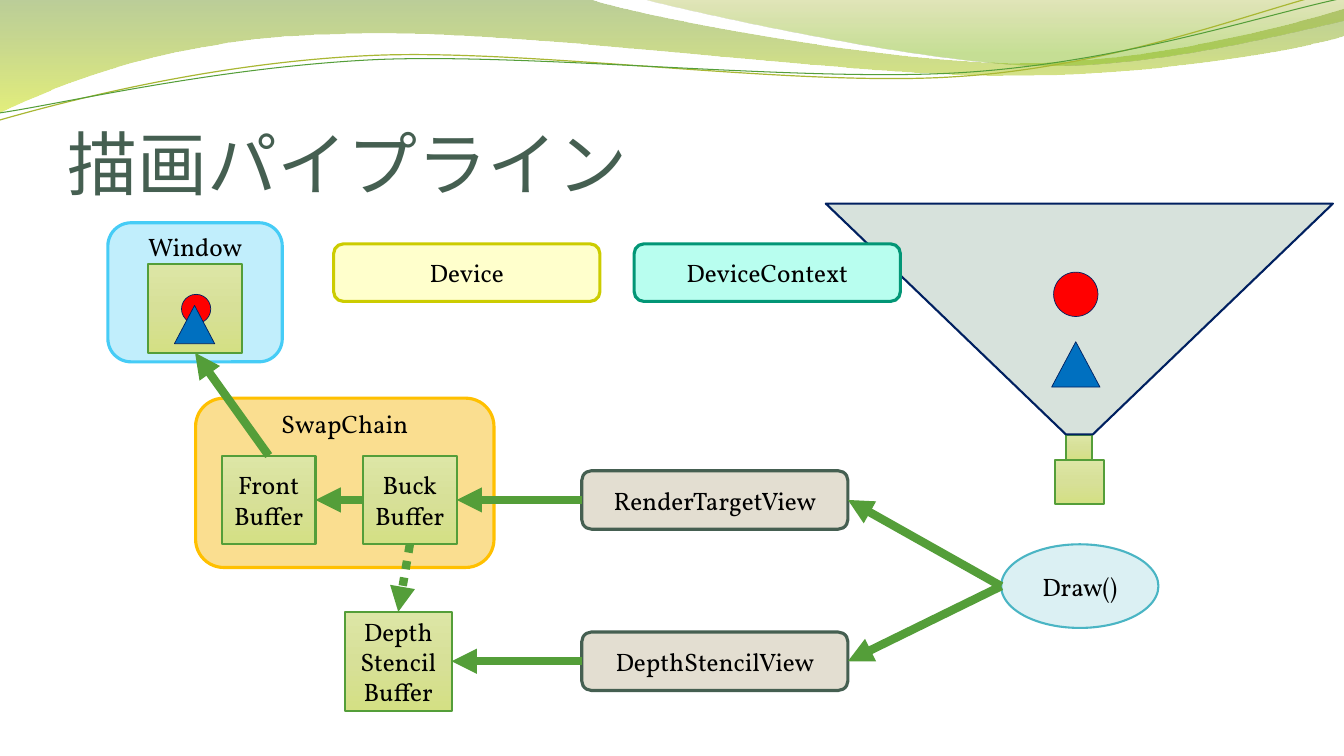
from lxml import etree
from pptx import Presentation
from pptx.dml.color import RGBColor
from pptx.enum.dml import MSO_LINE
from pptx.enum.shapes import MSO_CONNECTOR, MSO_SHAPE
from pptx.enum.text import MSO_ANCHOR, PP_ALIGN
from pptx.oxml.ns import qn
from pptx.util import Pt

PX = 9144  # EMU per px, 100 px to the inch
RECT, ROUND = MSO_SHAPE.RECTANGLE, MSO_SHAPE.ROUNDED_RECTANGLE
OVAL, TRIANGLE = MSO_SHAPE.OVAL, MSO_SHAPE.ISOSCELES_TRIANGLE
TRAPEZOID = MSO_SHAPE.TRAPEZOID
STRAIGHT, DOTTED = MSO_CONNECTOR.STRAIGHT, MSO_LINE.ROUND_DOT
TOP, MIDDLE, BOTTOM = MSO_ANCHOR.TOP, MSO_ANCHOR.MIDDLE, MSO_ANCHOR.BOTTOM
LEFT_ALIGN, CENTER = PP_ALIGN.LEFT, PP_ALIGN.CENTER
TOP_SIDE, LEFT_SIDE, BOTTOM_SIDE, RIGHT_SIDE = range(4)

BLACK = RGBColor(0x00, 0x00, 0x00)
GREEN = RGBColor(0x54, 0x9E, 0x39)
OLIVE = RGBColor(0xA9, 0xB7, 0x33)
DARK_GREEN = RGBColor(0x45, 0x5F, 0x51)
NAVY = RGBColor(0x00, 0x20, 0x60)
RED = RGBColor(0xFF, 0x00, 0x00)
BLUE = RGBColor(0x00, 0x70, 0xC0)
BEIGE = RGBColor(0xE3, 0xDE, 0xD1)
FRUSTUM_GRAY = RGBColor(0xD7, 0xE2, 0xDC)
WINDOW_FILL, WINDOW_LINE = RGBColor(0xC1, 0xEE, 0xFC), RGBColor(0x46, 0xCC, 0xF6)
CHAIN_FILL, CHAIN_LINE = RGBColor(0xFA, 0xDE, 0x90), RGBColor(0xFF, 0xC0, 0x00)
DRAW_FILL, DRAW_LINE = RGBColor(0xDB, 0xF0, 0xF3), RGBColor(0x4A, 0xB5, 0xC4)
DEVICE_FILL, DEVICE_LINE = RGBColor(0xFF, 0xFF, 0xCC), RGBColor(0xCC, 0xCC, 0x00)
CONTEXT_FILL, CONTEXT_LINE = RGBColor(0xB8, 0xFE, 0xEF), RGBColor(0x02, 0x96, 0x76)

# Gradient stops: position %, colour, opacity %
BUFFER_GRADIENT = [(0, RGBColor(0xDD, 0xE6, 0xA6), 100),
                   (50, RGBColor(0xD7, 0xE0, 0x98), 100),
                   (100, RGBColor(0xD4, 0xE0, 0x84), 100)]
LARGE_WAVE_GRADIENT = [(0, RGBColor(0x69, 0x92, 0x1C), 45),
                       (100, RGBColor(0xCC, 0xE1, 0x0F), 55)]
SMALL_WAVE_GRADIENT = [(0, RGBColor(0x9B, 0xAA, 0x1A), 30),
                       (80, RGBColor(0x81, 0xBA, 0x16), 45)]

# Wave steps: two numbers are a straight line, six a Bezier curve
LARGE_WAVE = [(0, 0), (587, 0), (634, 17, 884, 63, 1011, 63),
              (1137, 63, 1277, 26, 1333, 9), (1333, 36),
              (1311, 44, 1159, 76, 994, 75), (829, 75, 509, 28, 343, 34),
              (172, 36, 61, 83, 0, 112)]
SMALL_WAVE = [(638, 0), (679, 11, 909, 62, 1025, 65),
              (1140, 69, 1282, 32, 1333, 21), (1333, 0)]
OLIVE_WAVE = [(0, 119), (63, 101, 210, 62, 369, 55),
              (527, 48, 789, 87, 949, 76), (1110, 66, 1251, 8, 1330, -10)]
GREEN_WAVE = [(0, 112), (62, 103, 218, 66, 377, 59),
              (537, 53, 796, 82, 955, 72), (1114, 62, 1255, 14, 1333, -2)]


def set_all(target, values):
    for name, value in values.items():
        setattr(target, name, value)


def paint(shape, fill, line, weight):
    """Fill with a colour, gradient stops or nothing; then set the outline."""
    shape.shadow.inherit = False
    if fill is None:
        shape.fill.background()
    elif isinstance(fill, list):
        shape.fill.gradient()
        shape.fill.gradient_angle = 270
        stops = next(shape.element.iter(qn("a:gsLst")))
        stops.clear()
        for position, color, opacity in fill:
            stop = etree.SubElement(stops, qn("a:gs"), pos=str(position * 1000))
            node = etree.SubElement(stop, qn("a:srgbClr"), val=str(color))
            if opacity < 100:
                etree.SubElement(node, qn("a:alpha"), val=str(opacity * 1000))
    else:
        shape.fill.solid()
        shape.fill.fore_color.rgb = fill
    if line is None:
        shape.line.fill.background()
    else:
        shape.line.color.rgb = line
        shape.line.width = Pt(weight)


def write(shape, text, anchor=MIDDLE, align=CENTER, size=18, color=BLACK,
          font="Vollkorn", spacing=None, margins=(10, 3, 10, 3)):
    frame = shape.text_frame
    left, top, right, bottom = (margin * PX for margin in margins)
    set_all(frame, {"word_wrap": True, "vertical_anchor": anchor,
                    "margin_left": left, "margin_top": top,
                    "margin_right": right, "margin_bottom": bottom})
    paragraph = frame.paragraphs[0]
    paragraph.text = text.replace("\n", "\v")
    set_all(paragraph, {"alignment": align, "line_spacing": spacing})
    for run in paragraph.runs:
        set_all(run.font, {"size": Pt(size), "name": font})
        run.font.color.rgb = color
        etree.SubElement(run._r.get_or_add_rPr(), qn("a:ea"), typeface=font)


def add_block(slide, kind, box, fill, line, weight, text=None, anchor=MIDDLE):
    shape = slide.shapes.add_shape(kind, *(length * PX for length in box))
    paint(shape, fill, line, weight)
    if text:
        write(shape, text, anchor, margins=(10, 2, 10, 2))
    return shape


def add_buffer(slide, box, text=None):
    return add_block(slide, RECT, box, BUFFER_GRADIENT, GREEN, 1.5, text)


def add_arrow(slide, start, start_side, end, end_side, dash=None):
    """Join two shapes; a start given as a point stays free."""
    x, y = start if start_side is None else (0, 0)
    arrow = slide.shapes.add_connector(STRAIGHT, x, y, 0, 0)
    if start_side is not None:
        arrow.begin_connect(start, start_side)
    arrow.end_connect(end, end_side)
    arrow.line.color.rgb = GREEN
    set_all(arrow.line, {"width": Pt(6), "dash_style": dash})
    etree.SubElement(arrow.line._get_or_add_ln(), qn("a:tailEnd"), type="triangle")
    etree.SubElement(arrow.element.spPr, qn("a:effectLst"))


def add_wave(slide, box, steps, fill, line=None, weight=0):
    """Build the outline through the step ends, then bend the curved steps."""
    ends = [step[-2:] for step in steps]
    builder = slide.shapes.build_freeform(*ends[0], scale=PX)
    builder.add_line_segments(ends[1:], close=fill is not None)
    wave = builder.convert_to_shape(box[0] * PX, box[1] * PX)
    min_x, min_y = (min(values) for values in zip(*ends))
    segments = list(wave.element.iter(qn("a:lnTo")))
    for segment, step in zip(segments, steps[1:]):
        if len(step) == 6:
            curve = etree.Element(qn("a:cubicBezTo"))
            for x, y in zip(step[::2], step[1::2]):
                etree.SubElement(curve, qn("a:pt"), x=str(x - min_x), y=str(y - min_y))
            segment.getparent().replace(segment, curve)
    paint(wave, fill, line, weight)


def add_waves(slide, box):
    add_wave(slide, box, LARGE_WAVE, LARGE_WAVE_GRADIENT)
    add_wave(slide, box, SMALL_WAVE, SMALL_WAVE_GRADIENT)
    add_wave(slide, box, OLIVE_WAVE, None, OLIVE, 0.85)
    add_wave(slide, box, GREEN_WAVE, None, GREEN, 0.75)


def add_title(slide, box):
    title = slide.shapes.add_textbox(*(length * PX for length in box))
    write(title, "描画パイプライン", BOTTOM, LEFT_ALIGN, 50, DARK_GREEN,
          "Noto Sans CJK JP", 0.8, (0, 5, 0, 0))


def add_scene(slide, circle_box, triangle_box):
    add_block(slide, OVAL, circle_box, RED, NAVY, 0.5)
    add_block(slide, TRIANGLE, triangle_box, BLUE, NAVY, 0.5)


def add_window(slide, box):
    left, top = box[:2]
    add_block(slide, ROUND, box, WINDOW_FILL, WINDOW_LINE, 2.25, "Window", TOP)
    screen = add_buffer(slide, (left + 40, top + 41, 93, 88))
    add_scene(slide, (left + 73, top + 71, 29, 29), (left + 66, top + 82, 40, 38))
    return screen


def add_swap_chain(slide, box):
    left, top = box[:2]
    add_block(slide, ROUND, box, CHAIN_FILL, CHAIN_LINE, 2.25, "SwapChain", TOP)
    return [add_buffer(slide, (left + 26 + 140 * index, top + 57, 93, 88), name)
            for index, name in enumerate(("Front\nBuffer", "Buck\nBuffer"))]


def add_views(slide, box):
    left, top, width, height = box
    return [add_block(slide, ROUND, (left, top + 160 * index, width, height),
                      BEIGE, DARK_GREEN, 2.25, name)
            for index, name in enumerate(("RenderTargetView", "DepthStencilView"))]


def add_camera(slide, box):
    left, top, width = box[:3]
    add_buffer(slide, (left + 227, top + 254, 49, 44))
    add_buffer(slide, (left + 238, top + 230, 26, 24))
    frustum = add_block(slide, TRAPEZOID, (left, top, width, 229),
                        FRUSTUM_GRAY, NAVY, 1.5)
    frustum.adjustments[0] = 1.04
    frustum.rotation = 180
    add_scene(slide, (left + 226, top + 68, 44, 44), (left + 224, top + 137, 48, 45))


def add_devices(slide, box):
    left, top, width, height = box
    devices = [("Device", DEVICE_FILL, DEVICE_LINE),
               ("DeviceContext", CONTEXT_FILL, CONTEXT_LINE)]
    for index, (name, fill, line) in enumerate(devices):
        add_block(slide, ROUND, (left + 298 * index, top, width, height),
                  fill, line, 2.25, name)


def add_pipeline_slide(presentation):
    slide = presentation.slides.add_slide(presentation.slide_layouts[6])
    add_waves(slide, (0, 0, 1333, 119))
    add_title(slide, (67, 77, 1200, 125))
    # Buffers, views and the draw call
    screen = add_window(slide, (107, 221, 173, 138))
    front, back = add_swap_chain(slide, (194, 395, 296, 168))
    depth = add_buffer(slide, (342, 607, 106, 98), "Depth\nStencil\nBuffer")
    target_view, depth_view = add_views(slide, (577, 467, 264, 58))
    draw = add_block(slide, OVAL, (993, 540, 156, 83), DRAW_FILL, DRAW_LINE, 1.5, "Draw()")
    # Flow from the draw call to the window
    draw_left = (draw.left, draw.top + draw.height // 2)
    for view, buffer in ((depth_view, depth), (target_view, back)):
        add_arrow(slide, draw_left, None, view, RIGHT_SIDE)
        add_arrow(slide, view, LEFT_SIDE, buffer, RIGHT_SIDE)
    add_arrow(slide, back, LEFT_SIDE, front, RIGHT_SIDE)
    add_arrow(slide, front, TOP_SIDE, screen, BOTTOM_SIDE)
    add_arrow(slide, back, BOTTOM_SIDE, depth, TOP_SIDE, DOTTED)
    # Camera view with the devices in front
    add_camera(slide, (819, 202, 503, 298))
    add_devices(slide, (331, 242, 264, 57))


def main():
    presentation = Presentation()
    set_all(presentation, {"slide_width": 1333 * PX, "slide_height": 750 * PX})
    add_pipeline_slide(presentation)
    presentation.save("out.pptx")


if __name__ == "__main__":
    main()
